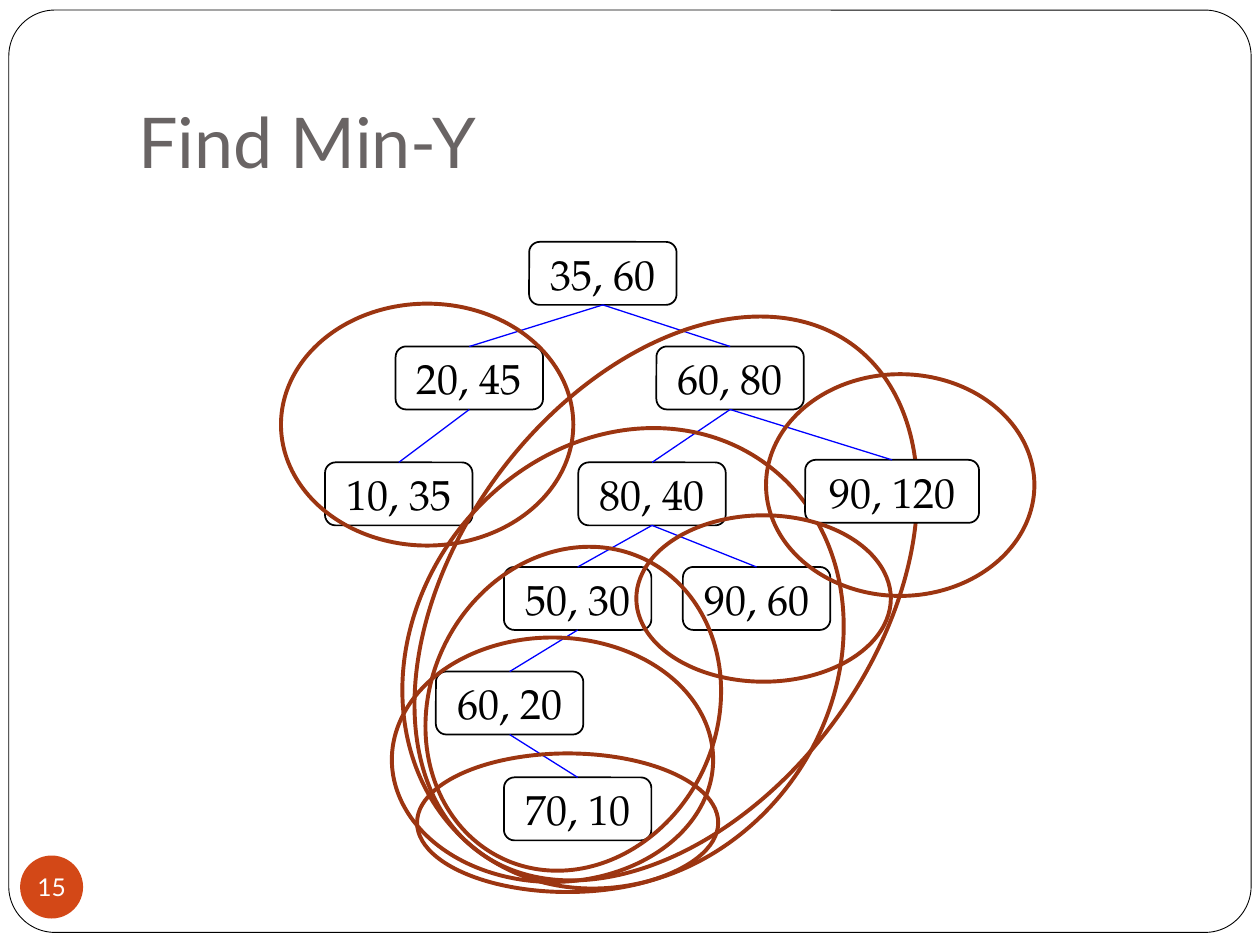
from pptx import Presentation
from pptx.dml.color import RGBColor
from pptx.enum.shapes import MSO_CONNECTOR, MSO_SHAPE
from pptx.enum.text import MSO_ANCHOR, PP_ALIGN
from pptx.oxml.ns import qn
from pptx.util import Inches, Pt
from lxml.etree import SubElement

ROWS = [0, 0.83, 1.75, 2.58, 3.41, 4.25]
NODES = [
    ("35, 60", None, 1.97, ROWS[0]),
    ("20, 45", "35, 60", 0.91, ROWS[1]),
    ("60, 80", "35, 60", 2.98, ROWS[1]),
    ("80, 40", "60, 80", 2.36, ROWS[2]),
    ("10, 35", "20, 45", 0.35, ROWS[2]),
    ("50, 30", "80, 40", 1.77, ROWS[3]),
    ("90, 60", "80, 40", 3.19, ROWS[3]),
    ("60, 20", "50, 30", 1.23, ROWS[4]),
    ("70, 10", "60, 20", 1.77, ROWS[5]),
]
WIDE_NODE = ("90, 120", "60, 80", 4.16, 1.73, 1.38)
BACK_RINGS = [
    (0, 0.49, 2.32, 1.92, 0),
    (1.4, 0.33, 3.31, 5, 36.5),
    (1.06, 1.39, 3.31, 3.83, 36.5),
]
FRONT_RINGS = [
    (3.85, 1.05, 2.13, 1.76, 0),
    (1.18, 2.39, 2.28, 2.63, 25),
    (2.82, 2.17, 2.02, 1.32, 0),
    (0.88, 3.14, 2.55, 1.94, 0),
    (1.08, 4.06, 2.39, 1.1, 0),
]


def color(value):
    return RGBColor.from_string(value)


def add_shape(s, kind, box, fill=None, line=None, width=1):
    sp = s.shapes.add_shape(kind, *[Inches(v) for v in box])
    sp.shadow.inherit = False
    if fill:
        sp.fill.solid()
        sp.fill.fore_color.rgb = color(fill)
    else:
        sp.fill.background()
    if line:
        sp.line.color.rgb = color(line)
        sp.line.width = Pt(width)
    else:
        sp.line.fill.background()
    return sp


def set_text(sp, text, size, font, hex_color, align=PP_ALIGN.CENTER):
    tf = sp.text_frame
    tf.text = text
    tf.vertical_anchor = MSO_ANCHOR.MIDDLE
    p = tf.paragraphs[0]
    p.alignment = align
    r = p.runs[0]
    r.font.size = Pt(size)
    r.font.name = font
    r.font.color.rgb = color(hex_color)
    return tf


def add_frame(s, box):
    frame = add_shape(s, MSO_SHAPE.ROUNDED_RECTANGLE, box, "FFFFFF", "000000", 0.5)
    frame.adjustments[0] = 0.05


def add_title(s, box, text):
    sp = s.shapes.add_textbox(*[Inches(v) for v in box])
    tf = set_text(sp, text, 40, "Lato", "696464", PP_ALIGN.LEFT)
    tf.word_wrap = True
    tf.vertical_anchor = MSO_ANCHOR.BOTTOM
    tf.margin_bottom = Inches(0.1)


def add_page_number(s, box, text):
    sp = add_shape(s, MSO_SHAPE.OVAL, box, "D34817")
    tf = set_text(sp, text, 14, "Lato", "FFFFFF")
    tf.word_wrap = False
    tf.margin_left = tf.margin_right = tf.margin_top = tf.margin_bottom = 0


def add_node(s, left, top, text, x, y, width=1.17):
    box = (left + x, top + y, width, 0.5)
    sp = add_shape(s, MSO_SHAPE.ROUNDED_RECTANGLE, box, "FFFFFF", "000000")
    set_text(sp, text, 24, "TeX Gyre Pagella", "000000")
    return sp


def add_edge(s, parent, child):
    edge = s.shapes.add_connector(MSO_CONNECTOR.STRAIGHT, 0, 0, 0, 0)
    edge.begin_connect(parent, 2)
    edge.end_connect(child, 0)
    edge.line.color.rgb = color("0000FF")
    edge.line.width = Pt(0.75)
    SubElement(edge._element.spPr, qn("a:effectLst"))


def add_rings(s, left, top, rings):
    for x, y, width, height, angle in rings:
        box = (left + x, top + y, width, height)
        ring = add_shape(s, MSO_SHAPE.OVAL, box, None, "9C3511", 2.25)
        ring.rotation = angle


def add_tree(s, left, top):
    nodes = {text: add_node(s, left, top, text, x, y) for text, _, x, y in NODES}
    for text, parent, _, _ in NODES:
        if parent:
            add_edge(s, nodes[parent], nodes[text])
    add_rings(s, left, top, BACK_RINGS)
    text, parent, x, y, width = WIDE_NODE
    add_edge(s, nodes[parent], add_node(s, left, top, text, x, y, width))
    add_rings(s, left, top, FRONT_RINGS)


prs = Presentation()
prs.slide_width = Inches(10)
prs.slide_height = Inches(7.5)
s = prs.slides.add_slide(prs.slide_layouts[6])
add_frame(s, (0.07, 0.08, 9.86, 7.32))
add_title(s, (1, 0.3, 8.5, 1.25), "Find Min-Y")
add_page_number(s, (0.16, 6.79, 0.5, 0.5), "15")
add_tree(s, 2.23, 1.92)
prs.save("out.pptx")
